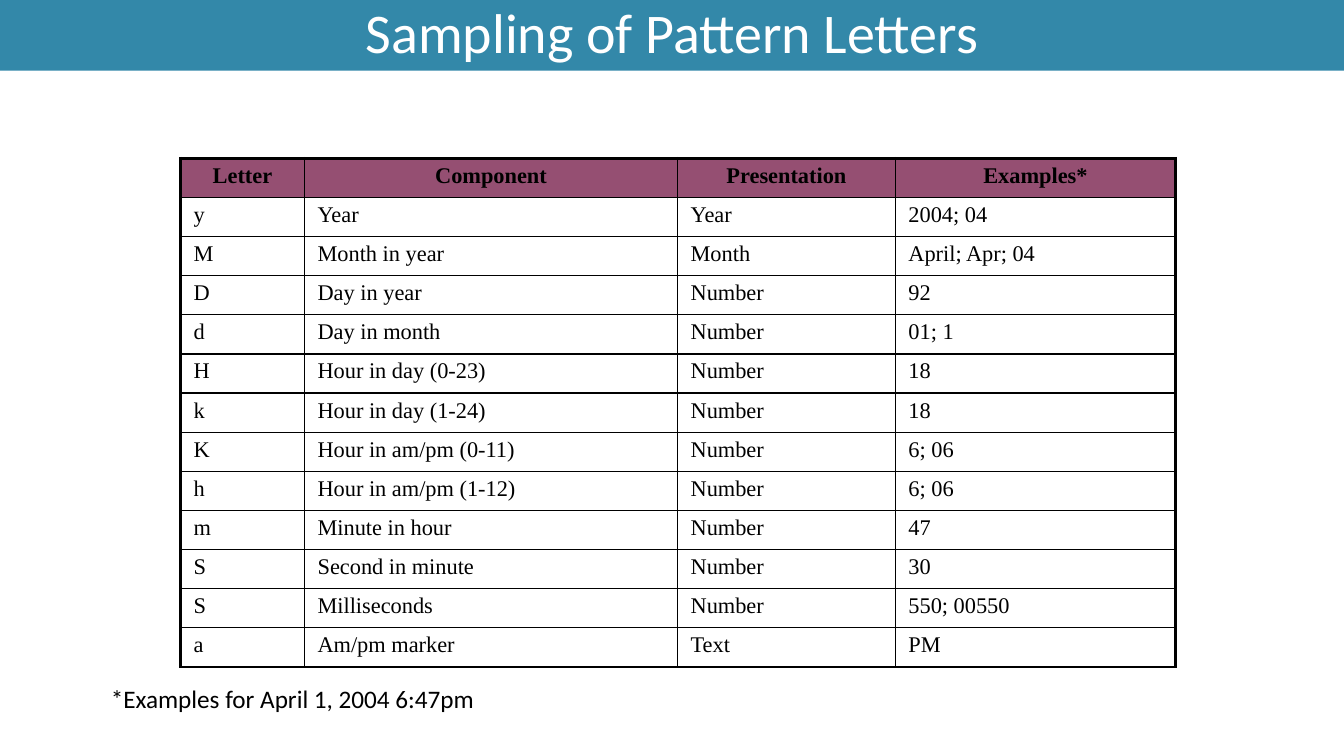
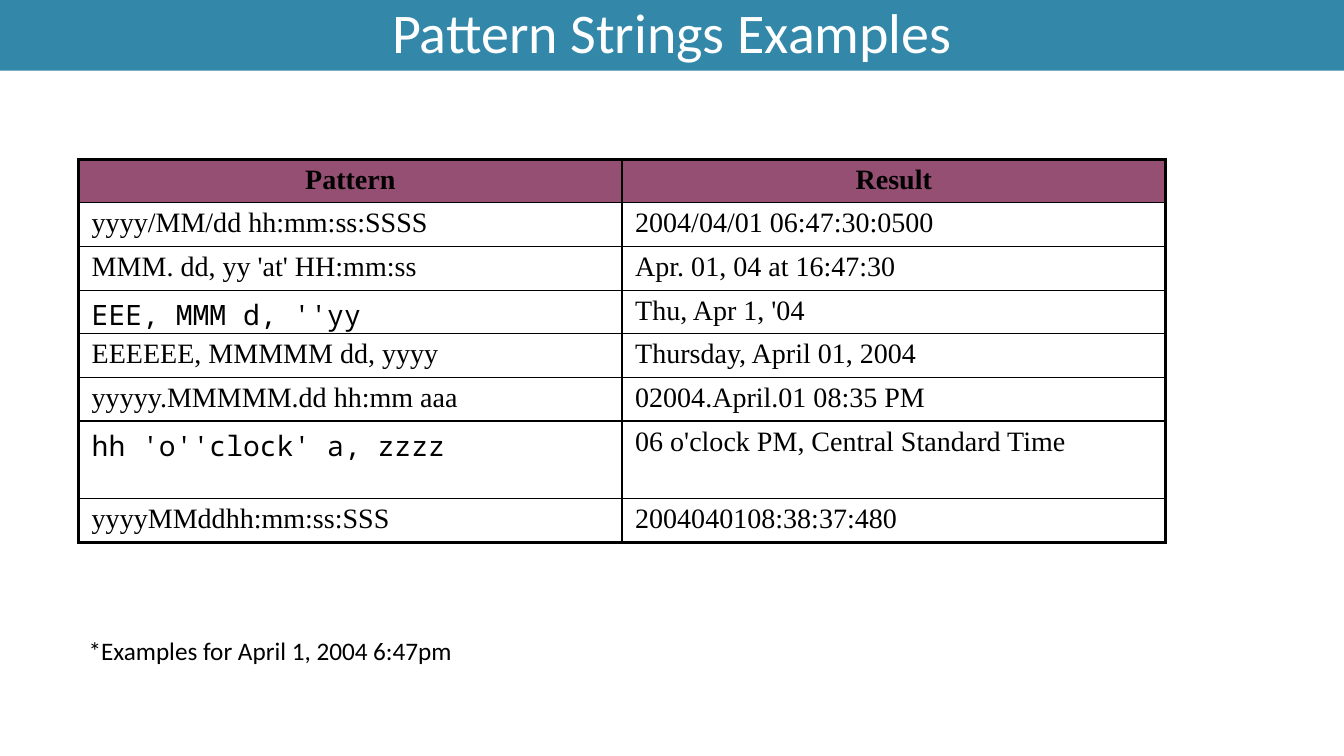
from lxml.etree import SubElement
from pptx import Presentation
from pptx.dml.color import RGBColor
from pptx.enum.text import MSO_ANCHOR as Anchor, MSO_AUTO_SIZE as AutoSize, PP_ALIGN as Align
from pptx.oxml.ns import qn
from pptx.util import Inches, Pt

# Shared look
WIDTH, HEIGHT = 13.33, 7.5
BAND, HEADER, INK, WHITE = "3388A9", "954F72", "000000", "FFFFFF"
SANS, SERIF, MONO = "Calibri", "Times New Roman", "Noto Sans Mono"
OUTER_LINE, INNER_LINE = 2.25, 1
TITLE_ONLY = 5
FOOTNOTE = "*Examples for April 1, 2004 6:47pm"


def paint(color_format, hex_color):
    color_format.rgb = RGBColor.from_string(hex_color)


def fill_solid(fill, hex_color):
    fill.solid()
    paint(fill.fore_color, hex_color)


def style_font(paragraph, name, size, color=INK, bold=False):
    font = paragraph.font
    font.name, font.size, font.bold = name, Pt(size), bold
    paint(font.color, color)


def place(shape, left, top, width, height):
    shape.left, shape.top = Inches(left), Inches(top)
    shape.width, shape.height = Inches(width), Inches(height)


# Title band
def add_titled_slide(presentation, text):
    slide = presentation.slides.add_slide(presentation.slide_layouts[TITLE_ONLY])
    title = slide.shapes.title
    place(title, 0, 0, WIDTH, 0.7)
    fill_solid(title.fill, BAND)
    frame = title.text_frame
    frame.text = text
    frame.auto_size = AutoSize.NONE
    frame.vertical_anchor = Anchor.MIDDLE
    paragraph = frame.paragraphs[0]
    paragraph.alignment = Align.CENTER
    paragraph.line_spacing = 0.9
    style_font(paragraph, SANS, 40, WHITE)
    return slide


# Footnote
def add_footnote(slide, left, top):
    box = slide.shapes.add_textbox(Inches(left), Inches(top), Inches(0.8 * WIDTH), Inches(0.4))
    frame = box.text_frame
    frame.word_wrap = True
    frame.text = FOOTNOTE
    style_font(frame.paragraphs[0], SANS, 18)


# Ruled table
def set_borders(cell, widths):
    properties = cell._tc.get_or_add_tcPr()
    for side, width in widths.items():
        line = SubElement(properties, qn(f"a:ln{side}"), w=str(Pt(width)))
        color = SubElement(SubElement(line, qn("a:solidFill")), qn("a:srgbClr"))
        color.set("val", INK)


def format_cell(cell, text, size, is_header, is_code):
    cell.text = text
    cell.margin_left = cell.margin_right = Inches(0.13)
    cell.margin_top = Inches(0.05)
    # The monospaced line is taller, so it gives up its bottom margin
    cell.margin_bottom = Inches(0 if is_code else 0.05)
    paragraph = cell.text_frame.paragraphs[0]
    style_font(paragraph, MONO if is_code else SERIF, size, bold=is_header)
    if is_header:
        paragraph.alignment = Align.CENTER
        fill_solid(cell.fill, HEADER)
    else:
        cell.fill.background()


def add_ruled_table(slide, left, top, column_widths, row_heights, rows, size, code=()):
    last_row, last_column = len(rows) - 1, len(column_widths) - 1
    table = slide.shapes.add_table(
        len(rows), len(column_widths), Inches(left), Inches(top),
        Inches(sum(column_widths)), Inches(sum(row_heights))).table
    for column, width in zip(table.columns, column_widths):
        column.width = Inches(width)
    for row, height in zip(table.rows, row_heights):
        row.height = Inches(height)
    for r, texts in enumerate(rows):
        for c, text in enumerate(texts):
            cell = table.cell(r, c)
            on_edge = {"L": c == 0, "R": c == last_column, "T": r == 0, "B": r == last_row}
            set_borders(cell, {side: OUTER_LINE if edge else INNER_LINE
                               for side, edge in on_edge.items()})
            format_cell(cell, text, size, r == 0, text in code)


LETTERS = [
    ("Letter", "Component", "Presentation", "Examples*"),
    ("y", "Year", "Year", "2004; 04"),
    ("M", "Month in year", "Month", "April; Apr; 04"),
    ("D", "Day in year", "Number", "92"),
    ("d", "Day in month", "Number", "01; 1"),
    ("H", "Hour in day (0-23)", "Number", "18"),
    ("k", "Hour in day (1-24)", "Number", "18"),
    ("K", "Hour in am/pm (0-11)", "Number", "6; 06"),
    ("h", "Hour in am/pm (1-12)", "Number", "6; 06"),
    ("m", "Minute in hour", "Number", "47"),
    ("S", "Second in minute", "Number", "30"),
    ("S", "Milliseconds", "Number", "550; 00550"),
    ("a", "Am/pm marker", "Text", "PM"),
]
DAY_PATTERN, CLOCK_PATTERN = "EEE, MMM d, ''yy", "hh 'o''clock' a, zzzz"
PATTERNS = [
    ("Pattern", "Result"),
    ("yyyy/MM/dd hh:mm:ss:SSSS", "2004/04/01 06:47:30:0500"),
    ("MMM. dd, yy 'at' HH:mm:ss", "Apr. 01, 04 at 16:47:30"),
    (DAY_PATTERN, "Thu, Apr 1, '04"),
    ("EEEEEE, MMMMM dd, yyyy", "Thursday, April 01, 2004"),
    ("yyyyy.MMMMM.dd hh:mm aaa", "02004.April.01 08:35 PM"),
    (CLOCK_PATTERN, "06 o'clock PM, Central Standard Time"),
    ("yyyyMMddhh:mm:ss:SSS", "2004040108:38:37:480"),
]


def build_letters_slide(presentation):
    slide = add_titled_slide(presentation, "Sampling of Pattern Letters")
    add_ruled_table(slide, 1.79, 1.57, [1.23, 3.7, 2.16, 2.78],
                    [5.05 / len(LETTERS)] * len(LETTERS), LETTERS, 16)
    add_footnote(slide, 1, 6.73)


def build_patterns_slide(presentation):
    slide = add_titled_slide(presentation, "Pattern Strings Examples")
    code = (DAY_PATTERN, CLOCK_PATTERN)
    heights = [0.77 if pattern == CLOCK_PATTERN else 0.433 for pattern, _ in PATTERNS]
    add_ruled_table(slide, 0.78, 1.58, [5.39] * 2, heights, PATTERNS, 20, code)
    add_footnote(slide, 0.78, 6.25)


presentation = Presentation()
presentation.slide_width, presentation.slide_height = Inches(WIDTH), Inches(HEIGHT)
build_letters_slide(presentation)
build_patterns_slide(presentation)
presentation.save("out.pptx")
